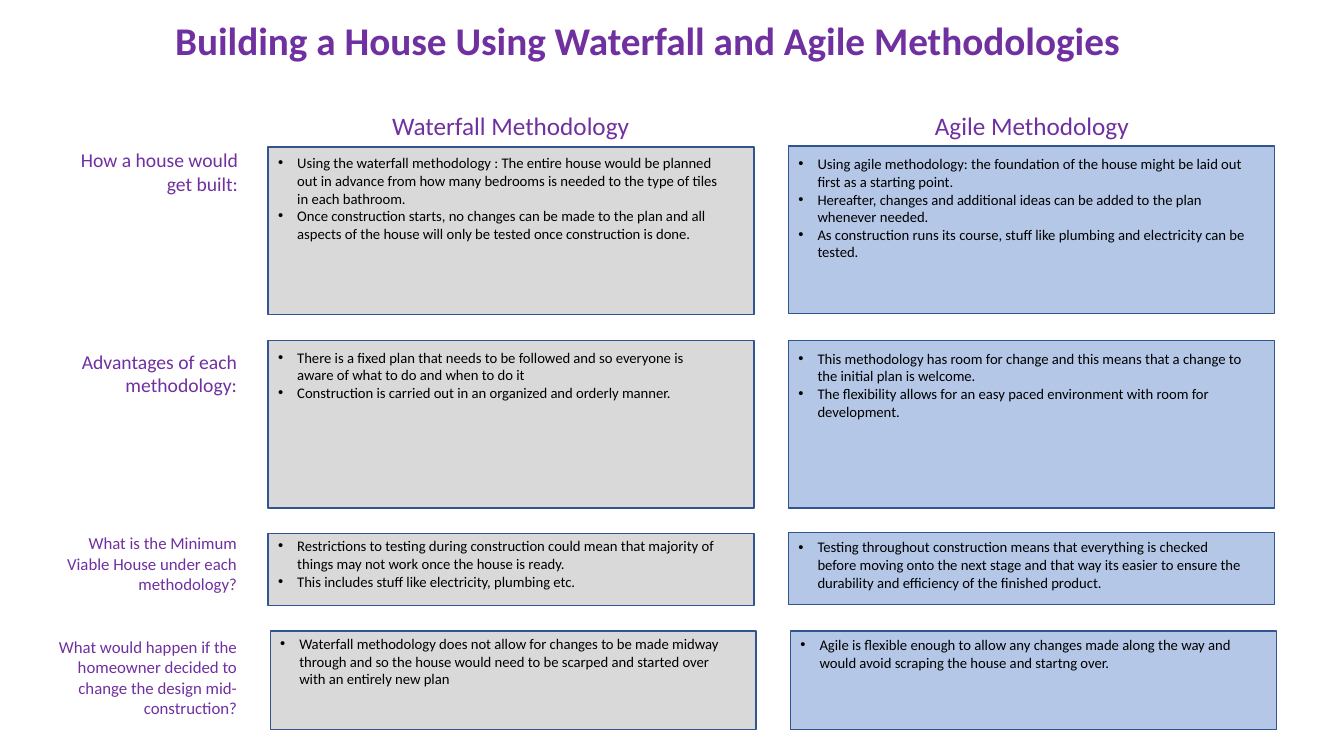
from dataclasses import dataclass
from lxml.etree import SubElement
from pptx import Presentation
from pptx.dml.color import RGBColor
from pptx.enum.shapes import MSO_SHAPE as Preset
from pptx.enum.text import MSO_AUTO_SIZE as AutoSize, PP_ALIGN as Align
from pptx.oxml.ns import qn
from pptx.util import Inches, Pt

PURPLE, BLACK, OUTLINE = "7030A0", "000000", "325491"
GRAY, BLUE = "D9D9D9", "B4C7E7"
BOX_WIDTH, BULLET_INDENT = 4.82, 0.19


def color(hex_text):
    """Turn a hex string into a colour."""
    return RGBColor.from_string(hex_text)


@dataclass
class Column:
    """One methodology: its heading, heading position, box position and fill."""
    heading: str
    heading_left: float
    left: float
    fill: str


@dataclass
class Cell:
    """A box top, the top and width of its text, and its bullet points."""
    top: float
    text_top: float
    points: list
    text_width: float = 4.6


@dataclass
class Row:
    """A question with its place and size, and one cell per methodology."""
    question: str
    label: tuple
    size: float
    height: float
    cells: list
    shift: float = 0


class SlideBuilder:
    """Hold the style and the current slide."""

    def __init__(self, slide, font="Calibri"):
        """Keep the slide and the font."""
        self.slide = slide
        self.font = font

    def box(self, left, top, width, height, fill):
        """Add an outlined rectangle."""
        shape = self.slide.shapes.add_shape(
            Preset.RECTANGLE, Inches(left), Inches(top), Inches(width), Inches(height))
        shape.shadow.inherit = False
        shape.fill.solid()
        shape.fill.fore_color.rgb = color(fill)
        shape.line.color.rgb = color(OUTLINE)
        shape.line.width = Pt(1)

    def text(self, left, top, width, height, lines, size, align=Align.LEFT,
             ink=PURPLE, bold=False, bulleted=False):
        """Add a wrapping text box with one paragraph per line."""
        shape = self.slide.shapes.add_textbox(
            Inches(left), Inches(top), Inches(width), Inches(height))
        frame = shape.text_frame
        frame.word_wrap = True
        frame.auto_size = AutoSize.SHAPE_TO_FIT_TEXT
        for index, line in enumerate(lines):
            paragraph = frame.add_paragraph() if index else frame.paragraphs[0]
            paragraph.alignment = align
            if bulleted:
                self.bullet(paragraph)
            run = paragraph.add_run()
            run.text = line
            run.font.name = self.font
            run.font.size = Pt(size)
            run.font.bold = bold
            run.font.color.rgb = color(ink)

    def bullet(self, paragraph):
        """Give a paragraph a hanging bullet."""
        properties = paragraph._p.get_or_add_pPr()
        properties.set("marL", str(Inches(BULLET_INDENT)))
        properties.set("indent", str(-Inches(BULLET_INDENT)))
        SubElement(properties, qn("a:buFont")).set("typeface", "Arial")
        SubElement(properties, qn("a:buChar")).set("char", "•")

    def row(self, row, columns):
        """Add a question and its answer boxes."""
        self.text(*row.label, [row.question], row.size, Align.RIGHT)
        for column, cell in zip(columns, row.cells):
            left = column.left + row.shift
            self.box(left, cell.top, BOX_WIDTH, row.height, column.fill)
            self.text(left, cell.text_top, cell.text_width, 0.63, cell.points, 10.5,
                      ink=BLACK, bulleted=True)


COLUMNS = [
    Column("Waterfall Methodology", 3.36, 2.66, GRAY),
    Column("Agile Methodology", 8.53, 7.82, BLUE),
]

ROWS = [
    Row("How a house would get built:", (0.6, 1.42, 1.86, 0.57), 14, 1.66, [
        Cell(1.46, 1.48, [
            "Using the waterfall methodology : The entire house would be planned out in "
            "advance from how many bedrooms is needed to the type of tiles in each bathroom.",
            "Once construction starts, no changes can be made to the plan and all aspects "
            "of the house will only be tested once construction is done."]),
        Cell(1.45, 1.49, [
            "Using agile methodology: the foundation of the house might be laid out first "
            "as a starting point.",
            "Hereafter, changes and additional ideas can be added to the plan whenever needed.",
            "As construction runs its course, stuff like plumbing and electricity can be "
            "tested."], 4.8)]),
    Row("Advantages of each methodology:", (0.37, 3.42, 2.08, 0.57), 14, 1.66, [
        Cell(3.38, 3.41, [
            "There is a fixed plan that needs to be followed and so everyone is aware of "
            "what to do and when to do it",
            "Construction is carried out in an organized and orderly manner."]),
        Cell(3.38, 3.42, [
            "This methodology has room for change and this means that a change to the "
            "initial plan is welcome.",
            "The flexibility allows for an easy paced environment with room for "
            "development."])]),
    Row("What is the Minimum Viable House under each methodology?",
        (0.37, 5.24, 2.08, 0.71), 12, 0.72, [
            Cell(5.29, 5.28, [
                "Restrictions to testing during construction could mean that majority of "
                "things may not work once the house is ready.",
                "This includes stuff like electricity, plumbing etc."]),
            Cell(5.28, 5.29, [
                "Testing throughout construction means that everything is checked before "
                "moving onto the next stage and that way its easier to ensure the "
                "durability and efficiency of the finished product."])]),
    Row("What would happen if the homeowner decided to change the design mid-construction?",
        (0.37, 6.27, 2.08, 0.91), 12, 0.98, [
            Cell(6.26, 6.25, [
                "Waterfall methodology does not allow for changes to be made midway through "
                "and so the house would need to be scarped and started over with an "
                "entirely new plan"]),
            Cell(6.26, 6.26, [
                "Agile is flexible enough to allow any changes made along the way and would "
                "avoid scraping the house and startng over."])], shift=0.02),
]


def main():
    """Build and save the presentation."""
    presentation = Presentation()
    presentation.slide_width = Inches(13.33)
    presentation.slide_height = Inches(7.5)
    builder = SlideBuilder(presentation.slides.add_slide(presentation.slide_layouts[6]))
    builder.text(0.92, 0.11, 11, 0.57,
                 ["Building a House Using Waterfall and Agile Methodologies"],
                 28, Align.CENTER, bold=True)
    for column in COLUMNS:
        builder.text(column.heading_left, 1.05, 3.41, 0.4, [column.heading], 18, Align.CENTER)
    for row in ROWS:
        builder.row(row, COLUMNS)
    presentation.save("out.pptx")


main()
